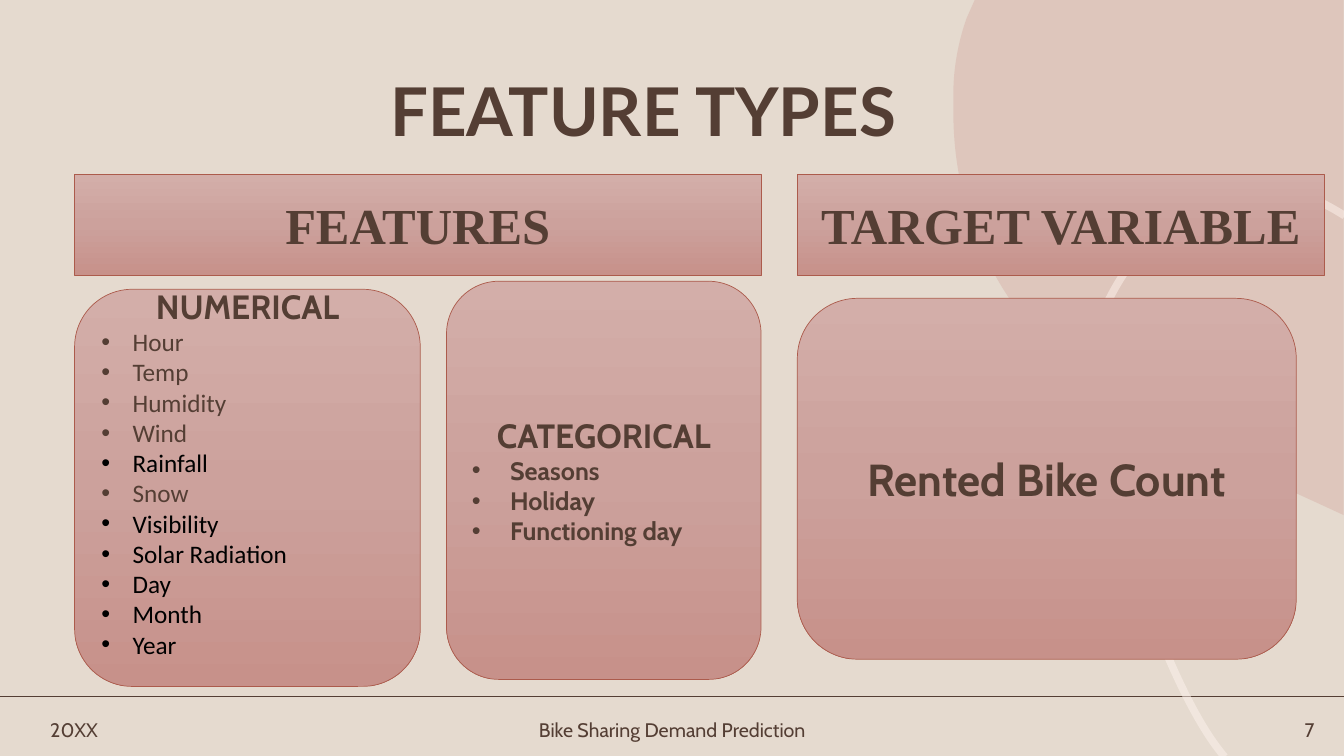
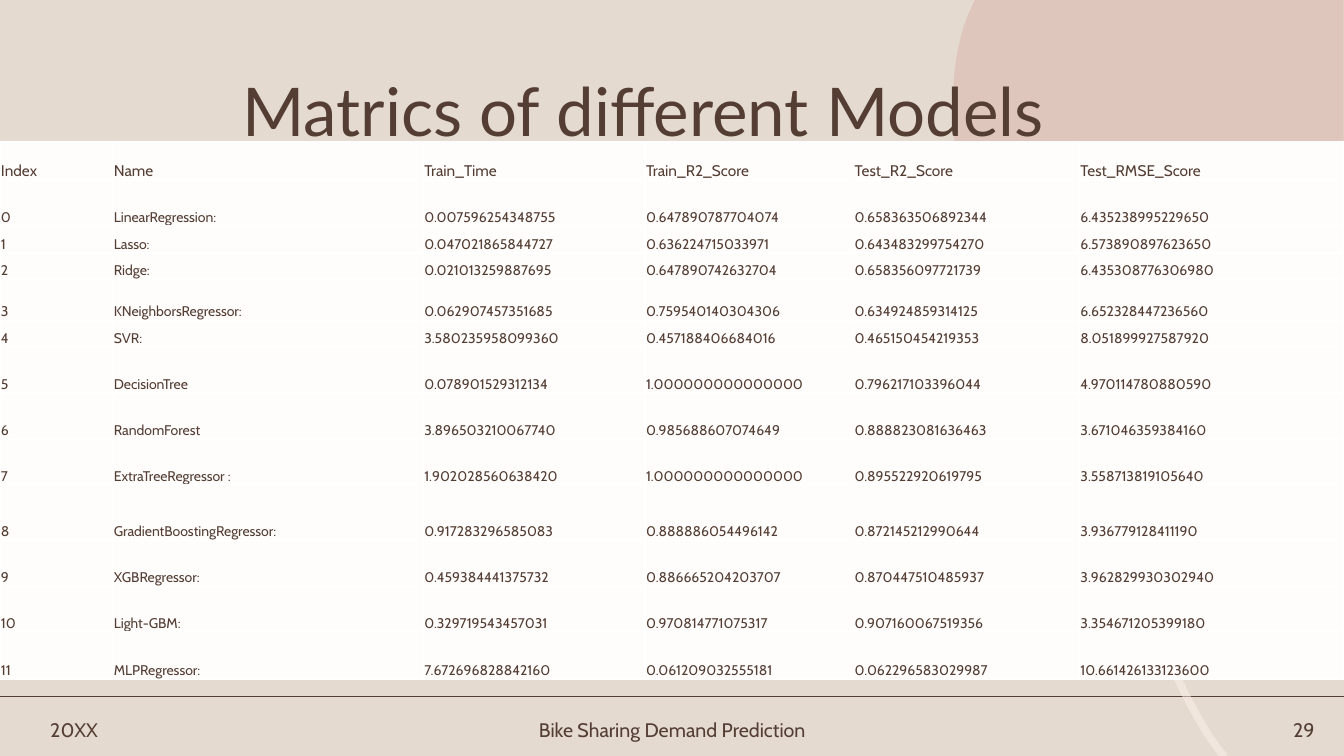
"""Build two bike sharing slides: feature types and model metrics."""
from copy import deepcopy

from lxml.etree import SubElement
from pptx import Presentation
from pptx.dml.color import RGBColor
from pptx.enum.shapes import MSO_CONNECTOR, MSO_SHAPE
from pptx.enum.text import MSO_ANCHOR, MSO_AUTO_SIZE, PP_ALIGN
from pptx.oxml.ns import qn
from pptx.util import Emu, Pt

PX = 9144
COLORS = {
    "background": "E5DACF", "text": "543E34", "black": "000000",
    "blob": "CF9B92", "arc": "FEF3ED", "panel_top": "D3AEA9",
    "panel_middle": "CCA19C", "panel_bottom": "C7918A", "panel_line": "AC5B4C",
    "cell": "FFFDFC", "border": "FFFFFF",
}
RGB = {name: RGBColor.from_string(value) for name, value in COLORS.items()}


def scaled(*lengths):
    """Turn px lengths into EMU."""
    return [Emu(length * PX) for length in lengths]


def write(paragraph, text, size, font="Cabin", bold=False, align=PP_ALIGN.LEFT, color="text"):
    """Fill a paragraph with evenly formatted text."""
    paragraph.text = text
    paragraph.alignment = align
    paragraph.font.size = Pt(size)
    paragraph.font.name = font
    paragraph.font.bold = bold
    paragraph.font.color.rgb = RGB[color]


presentation = Presentation()
presentation.slide_width, presentation.slide_height = Emu(12192000), Emu(6858000)
fill = presentation.slide_master.background.fill
fill.solid()
fill.fore_color.rgb = RGB["background"]
layout = presentation.slide_layouts[5]

slides = []
for title_text, title_bold, number in [
    ("FEATURE TYPES", True, "7"),
    ("Matrics of different Models", False, "29"),
]:
    slide = presentation.slides.add_slide(layout)
    slides.append(slide)
    title = slide.shapes.title
    title.left, title.top, title.width, title.height = scaled(63, 77, 1150, 74)
    title.text_frame.auto_size = MSO_AUTO_SIZE.NONE
    title.text_frame.vertical_anchor = MSO_ANCHOR.MIDDLE
    paragraph = title.text_frame.paragraphs[0]
    write(paragraph, title_text, 48, "Lato", title_bold, PP_ALIGN.CENTER)
    paragraph.line_spacing = 0.9
    for left, width, text, align in [
        (40, 108, "20XX", PP_ALIGN.LEFT),
        (479, 376, "Bike Sharing Demand Prediction", PP_ALIGN.CENTER),
        (1206, 108, number, PP_ALIGN.RIGHT),
    ]:
        footer = slide.shapes.add_textbox(*scaled(left, 707, width, 34))
        footer.text_frame.word_wrap = True
        footer.text_frame.vertical_anchor = MSO_ANCHOR.MIDDLE
        write(footer.text_frame.paragraphs[0], text, 14, align=align)

feature_slide, metrics_slide = slides

rule = feature_slide.shapes.add_connector(MSO_CONNECTOR.STRAIGHT, *scaled(0, 691, 1333, 691))
rule.line.color.rgb = RGB["text"]
rule.line.width = Pt(1.25)
SubElement(rule.element.spPr, qn("a:effectLst"))
decorations = [rule]

BLOB = [
    [(967, 0)], [(1333, 0)], [(1333, 511)], [(1307, 499)],
    [(1136, 421), (1032, 369), (978, 255)],
    [(948, 193), (945, 135), (946, 101)],
    [(945, 79), (948, 49), (959, 18)],
]
ARC = [
    [(1215, 751)],
    [(1198, 731), (1179, 699), (1156, 645)],
    [(1094, 507), (1058, 424), (1086, 332)],
    [(1101, 285), (1127, 253), (1144, 235)],
    [(1161, 217), (1192, 189), (1236, 185)],
    [(1241, 184), (1247, 184), (1252, 184)],
    [(1279, 185), (1307, 197), (1334, 214)],
]
for name, (left, top, right, bottom), segments, alpha in [
    ("blob", (946, 0, 1333, 511), BLOB, 30),
    ("arc", (1077, 184, 1334, 751), ARC, 50),
]:
    builder = feature_slide.shapes.build_freeform(left, top, scale=PX)
    builder.add_line_segments([(right, top), (right, bottom), (left, bottom)])
    outline = builder.convert_to_shape()
    outline.shadow.inherit = False
    contour = outline.element.xpath(".//a:path")[0]
    for command in list(contour):
        contour.remove(command)
    for index, segment in enumerate(segments):
        tag = "moveTo" if index == 0 else "lnTo" if len(segment) == 1 else "cubicBezTo"
        command = SubElement(contour, qn(f"a:{tag}"))
        for x, y in segment:
            SubElement(command, qn("a:pt"), x=str(x - left), y=str(y - top))
    if name == "blob":
        SubElement(contour, qn("a:close"))
        outline.fill.solid()
        outline.fill.fore_color.rgb = RGB[name]
        outline.line.fill.background()
    else:
        outline.fill.background()
        outline.line.color.rgb = RGB[name]
        outline.line.width = Pt(5.5)
    for color in outline.element.iter(qn("a:srgbClr")):
        SubElement(color, qn("a:alpha"), val=str(alpha * 1000))
    decorations.append(outline)

for shape_id, shape in enumerate(decorations, 101):
    shape.element.xpath(".//p:cNvPr")[0].set("id", str(shape_id))
    layout.shapes.element.append(shape.element)

NUMERICAL = ["Hour", "Temp", "Humidity", "Wind", "Rainfall", "Snow", "Visibility",
             "Solar Radiation", "Day", "Month", "Year"]
BLACK_ITEMS = {"Rainfall", "Visibility", "Solar Radiation", "Day", "Month", "Year"}
CATEGORICAL = ["Seasons", "Holiday", "Functioning day"]
BAR, CARD = MSO_SHAPE.RECTANGLE, MSO_SHAPE.ROUNDED_RECTANGLE
SERIF = "Times New Roman"
for preset, box, heading, size, font, items, item_font, indent, bottom in [
    (BAR, (74, 173, 681, 100), "FEATURES", 36, SERIF, [], None, 0, 5),
    (CARD, (74, 287, 343, 394), "NUMERICAL", 24, "Cabin", NUMERICAL, "Calibri", 31, 35),
    (CARD, (443, 279, 312, 395), "CATEGORICAL", 24, "Cabin", CATEGORICAL, "Cabin", 38, 5),
    (BAR, (791, 173, 523, 100), "TARGET VARIABLE", 36, SERIF, [], None, 0, 5),
    (CARD, (791, 296, 495, 358), "Rented Bike Count", 32, "Cabin", [], None, 0, 5),
]:
    panel = feature_slide.shapes.add_shape(preset, *scaled(*box))
    panel.shadow.inherit = False
    panel.fill.gradient()
    panel.fill.gradient_angle = 270
    first_stop = panel.element.xpath(".//a:gs")[0]
    middle_stop = deepcopy(first_stop)
    middle_stop.set("pos", "50000")
    first_stop.addnext(middle_stop)
    for stop, part in zip(panel.fill.gradient_stops, ("top", "middle", "bottom")):
        stop.color.rgb = RGB[f"panel_{part}"]
    panel.line.color.rgb = RGB["panel_line"]
    panel.line.width = Pt(0.5)
    frame = panel.text_frame
    frame.word_wrap = True
    frame.vertical_anchor = MSO_ANCHOR.MIDDLE
    frame.margin_bottom = bottom * PX
    write(frame.paragraphs[0], heading, size, font, True, PP_ALIGN.CENTER)
    for item in items:
        paragraph = frame.add_paragraph()
        color = "black" if item in BLACK_ITEMS else "text"
        write(paragraph, item, 18, item_font, item_font == "Cabin", color=color)
        properties = paragraph._p.get_or_add_pPr()
        properties.set("marL", str(indent * PX))
        properties.set("indent", str(-indent * PX))
        bullet_font = properties.makeelement(qn("a:buFont"), {"typeface": "Arial"})
        bullet = properties.makeelement(qn("a:buChar"), {"char": "•"})
        properties.insert(0, bullet_font)
        bullet_font.addnext(bullet)

HEADER = ["Index", "Name", "Train_Time", "Train_R2_Score", "Test_R2_Score", "Test_RMSE_Score"]
MODELS = [
    ("LinearRegression:", "0.007596254348755", "0.647890787704074", "0.658363506892344", "6.435238995229650"),
    ("Lasso:", "0.047021865844727", "0.636224715033971", "0.643483299754270", "6.573890897623650"),
    ("Ridge:", "0.021013259887695", "0.647890742632704", "0.658356097721739", "6.435308776306980"),
    ("KNeighborsRegressor:", "0.062907457351685", "0.759540140304306", "0.634924859314125", "6.652328447236560"),
    ("SVR:", "3.580235958099360", "0.457188406684016", "0.465150454219353", "8.051899927587920"),
    ("DecisionTree", "0.078901529312134", "1.000000000000000", "0.796217103396044", "4.970114780880590"),
    ("RandomForest", "3.896503210067740", "0.985688607074649", "0.888823081636463", "3.671046359384160"),
    ("ExtraTreeRegressor :", "1.902028560638420", "1.000000000000000", "0.895522920619795", "3.558713819105640"),
    ("GradientBoostingRegressor:", "0.917283296585083", "0.888886054496142", "0.872145212990644", "3.936779128411190"),
    ("XGBRegressor:", "0.459384441375732", "0.886665204203707", "0.870447510485937", "3.962829930302940"),
    ("Light-GBM:", "0.329719543457031", "0.970814771075317", "0.907160067519356", "3.354671205399180"),
    ("MLPRegressor:", "7.672696828842160", "0.061209032555181", "0.062296583029987", "10.661426133123600"),
]
ROWS = [HEADER] + [[str(index), *model] for index, model in enumerate(MODELS)]
COLUMN_WIDTHS = [112, 308, 220, 207, 224, 262]
ROW_HEIGHTS = [39, 45, 27, 26, 41, 26, 46, 46, 45, 55, 46, 45, 47]

table = metrics_slide.shapes.add_table(
    len(ROWS), len(HEADER), *scaled(0, 140, sum(COLUMN_WIDTHS), sum(ROW_HEIGHTS))).table
table.first_row = False
table.horz_banding = False
for column, width in zip(table.columns, COLUMN_WIDTHS):
    column.width = Emu(width * PX)
for row, height, values in zip(table.rows, ROW_HEIGHTS, ROWS):
    row.height = Emu(height * PX)
    for cell, value in zip(row.cells, values):
        cell.margin_left = cell.margin_right = cell.margin_top = PX
        cell.margin_bottom = 0
        cell.vertical_anchor = MSO_ANCHOR.BOTTOM
        write(cell.text_frame.paragraphs[0], value, 11 if values is HEADER else 10)
        properties = cell._tc.get_or_add_tcPr()
        for side in ("lnL", "lnR", "lnT", "lnB"):
            border = SubElement(properties, qn(f"a:{side}"), w=str(Pt(1)))
            solid = SubElement(border, qn("a:solidFill"))
            SubElement(solid, qn("a:srgbClr"), val=COLORS["border"])
        cell.fill.solid()
        cell.fill.fore_color.rgb = RGB["cell"]

presentation.save("out.pptx")
